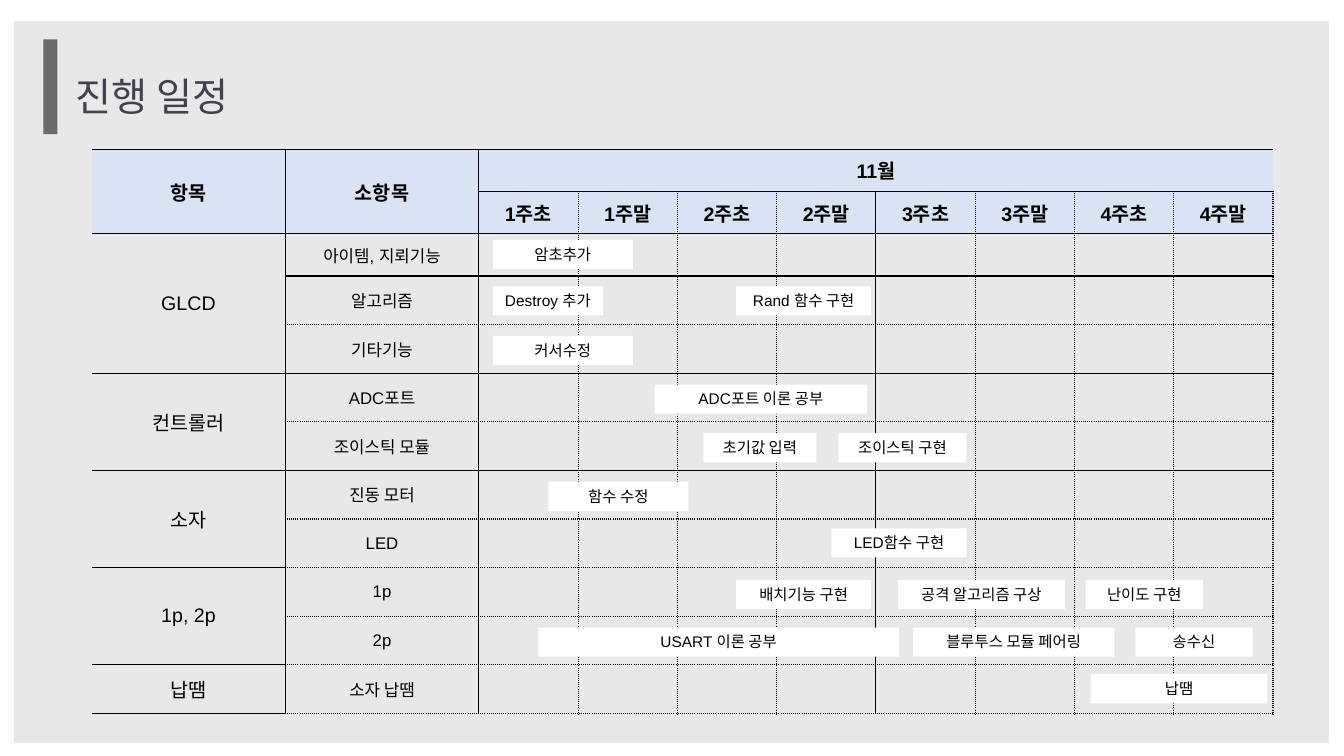
from dataclasses import dataclass

from lxml import etree
from pptx import Presentation, util as u
from pptx.dml.color import RGBColor
from pptx.enum import shapes, text
from pptx.oxml.ns import qn


@dataclass(frozen=True)
class Theme:
    panel: str = "E6E6E6"
    rail: str = "292929"
    title: str = "40434D"
    ink: str = "000000"
    header: str = "DAE3F3"
    bar: str = "FFFFFF"
    latin: str = "Arial"
    korean: str = "Noto Sans CJK KR"
    title_pt: int = 28
    group_pt: int = 14
    item_pt: int = 12
    bar_pt: int = 11


THEME = Theme()
WEEKS = [f"{week}주{part}" for week in range(1, 5) for part in "초말"]
HEADER_ROWS, LABEL_COLS = 2, 2
LABEL_W, HEADER_H, BAR_H = 1.92, 0.42, 0.29

# group -> items; item -> (bar offset below the row top, bars)
# bar -> (text, start, length), both counted in half-week columns
PLAN = {
    "GLCD": {
        "아이템, 지뢰기능": (0.06, [("암초추가", 0.14, 1.41)]),
        "알고리즘": (0.1, [("Destroy 추가", 0.14, 1.11), ("Rand 함수 구현", 2.59, 1.36)]),
        "기타기능": (0.11, [("커서수정", 0.14, 1.41)]),
    },
    "컨트롤러": {
        "ADC포트": (0.11, [("ADC포트 이론 공부", 1.77, 2.14)]),
        "조이스틱 모듈": (0.11, [("초기값 입력", 2.26, 1.14), ("조이스틱 구현", 3.62, 1.29)]),
    },
    "소자": {
        "진동 모터": (0.11, [("함수 수정", 0.7, 1.41)]),
        "LED": (0.09, [("LED함수 구현", 3.55, 1.36)]),
    },
    "1p, 2p": {
        "1p": (0.12, [("배치기능 구현", 2.59, 1.36), ("공격 알고리즘 구상", 4.22, 1.68),
                      ("난이도 구현", 6.11, 1.18)]),
        "2p": (0.11, [("USART 이론 공부", 0.6, 3.63), ("블루투스 모듈 페어링", 4.37, 2.03),
                      ("송수신", 6.61, 1.18)]),
    },
    "납땜": {"소자 납땜": (0.09, [("납땜", 6.16, 1.78)])},
}
ITEMS = [item for group in PLAN.values() for item in group.items()]
N_ROWS, N_COLS = HEADER_ROWS + len(ITEMS), LABEL_COLS + len(WEEKS)

# Rules of the grid, by edge number; other edges are dotted
SOLID_ROW_EDGES = {0, 1, 2, 3, 5, 7}
SOLID_COL_EDGES = {1: 0.75, 2: 1, 6: 0.75}


def inches(*lengths):
    return [u.Inches(length) for length in lengths]


def write(frame, words, size, color=THEME.ink, bold=False, latin=THEME.latin,
          align=text.PP_ALIGN.CENTER):
    frame.text = words
    paragraph = frame.paragraphs[0]
    paragraph.alignment = align
    font = paragraph.runs[0].font
    for name, value in {"size": u.Pt(size), "bold": bold, "name": latin}.items():
        setattr(font, name, value)
    font.color.rgb = RGBColor.from_string(color)
    latin_tag = paragraph.runs[0]._r.rPr.find(qn("a:latin"))
    latin_tag.addnext(etree.Element(qn("a:ea"), typeface=THEME.korean))
    return paragraph


def set_alpha(element, percent):
    color = next(element.iter(qn("a:srgbClr")))
    etree.SubElement(color, qn("a:alpha"), val=str(percent * 1000))


def add_block(slide, box, color):
    block = slide.shapes.add_shape(shapes.MSO_SHAPE.RECTANGLE, *inches(*box))
    block.shadow.inherit = False
    block.fill.solid()
    block.fill.fore_color.rgb = RGBColor.from_string(color)
    block.line.fill.background()
    return block


def draw_heading(slide, box):
    left, top, width, height = box
    # Backdrop behind everything
    panel = add_block(slide, (0.14, 0.21, 13.04, 7.16), THEME.panel)
    set_alpha(panel._element.spPr, 90)
    slide.shapes._spTree.insert(2, panel._element)

    # Title
    title = slide.shapes.title
    places = inches(left + 0.15, top + 0.19, width, 0.65)
    for name, value in zip(("left", "top", "width", "height"), places):
        setattr(title, name, value)
    for name, value in {"vertical_anchor": text.MSO_ANCHOR.BOTTOM, "word_wrap": True,
                        "auto_size": text.MSO_AUTO_SIZE.NONE}.items():
        setattr(title.text_frame, name, value)
    paragraph = write(title.text_frame, "진행 일정", THEME.title_pt, THEME.title,
                      latin=THEME.korean, align=text.PP_ALIGN.LEFT)
    paragraph.line_spacing = 1.5

    # Upright rail
    rail = slide.shapes.add_connector(shapes.MSO_CONNECTOR.STRAIGHT,
                                      *inches(left, top, left, top + height))
    rail.line.width = u.Pt(10)
    rail.line.color.rgb = RGBColor.from_string(THEME.rail)
    set_alpha(rail._element.spPr, 65)
    etree.SubElement(rail._element.spPr, qn("a:effectLst"))


def add_border(tc_pr, side, rule):
    width, dash = rule or (1, None)
    line = etree.Element(qn(f"a:{side}"), w=str(u.Pt(width)))
    if rule:
        fill = etree.SubElement(line, qn("a:solidFill"))
        etree.SubElement(fill, qn("a:srgbClr"), val=THEME.ink)
        etree.SubElement(line, qn("a:prstDash"), val=dash)
    else:
        etree.SubElement(line, qn("a:noFill"))
    return line


def row_rule(edge, col):
    return (1, "solid" if edge in SOLID_ROW_EDGES or col == 0 else "sysDot")


def col_rule(edge, row):
    if edge == 0 or (edge == N_COLS and row == 0):
        return None
    if edge in SOLID_COL_EDGES:
        return (SOLID_COL_EDGES[edge], "solid")
    return (1, "sysDot")


def fill_cell(table, row, col, words="", size=THEME.group_pt, rows=1, cols=1):
    """Fill a cell, merge it over rows and cols, and rule its outer sides."""
    is_header = row < HEADER_ROWS
    origin = table.cell(row, col)
    if rows * cols > 1:
        origin.merge(table.cell(row + rows - 1, col + cols - 1))
    origin.vertical_anchor = text.MSO_ANCHOR.MIDDLE
    if words:
        write(origin.text_frame, words, size, bold=is_header)
    for r in range(row, row + rows):
        for c in range(col, col + cols):
            cell = table.cell(r, c)
            if is_header:
                cell.fill.solid()
                cell.fill.fore_color.rgb = RGBColor.from_string(THEME.header)
            else:
                cell.fill.background()
            sides = {
                "lnL": (c == col, col_rule(c, r)),
                "lnR": (c == col + cols - 1, col_rule(c + 1, r)),
                "lnT": (r == row, row_rule(r, c)),
                "lnB": (r == row + rows - 1, row_rule(r + 1, c)),
            }
            tc_pr = cell._tc.get_or_add_tcPr()
            for place, (side, (is_outer, rule)) in enumerate(sides.items()):
                tc_pr.insert(place, add_border(tc_pr, side, rule if is_outer else None))


def draw_schedule(slide, box):
    left, top, width, height = box
    week_w = (width - LABEL_COLS * LABEL_W) / len(WEEKS)
    short_rows = HEADER_ROWS + 1
    tall_h = (height - short_rows * HEADER_H) / (N_ROWS - short_rows)
    heights = [HEADER_H] * short_rows + [tall_h] * (N_ROWS - short_rows)

    # Grid
    table = slide.shapes.add_table(N_ROWS, N_COLS, *inches(*box)).table
    table.first_row = table.horz_banding = False
    for col, column in enumerate(table.columns):
        column.width = u.Inches(LABEL_W if col < LABEL_COLS else week_w)
    for row, row_h in zip(table.rows, heights):
        row.height = u.Inches(row_h)

    # Header
    for col, label in enumerate(("항목", "소항목")):
        fill_cell(table, 0, col, label, rows=HEADER_ROWS)
    fill_cell(table, 0, LABEL_COLS, "11월", cols=len(WEEKS))
    for col, week in enumerate(WEEKS, LABEL_COLS):
        fill_cell(table, 1, col, week)

    # Groups and items
    row = HEADER_ROWS
    for group, items in PLAN.items():
        fill_cell(table, row, 0, group, rows=len(items))
        for item in items:
            fill_cell(table, row, 1, item, THEME.item_pt)
            for col in range(LABEL_COLS, N_COLS):
                fill_cell(table, row, col)
            row += 1

    # Task bars
    weeks_left = left + LABEL_COLS * LABEL_W
    for row, (_, (drop, bars)) in enumerate(ITEMS, HEADER_ROWS):
        bar_top = top + sum(heights[:row]) + drop
        for words, start, length in bars:
            bar = add_block(slide, (weeks_left + start * week_w, bar_top,
                                    length * week_w, BAR_H), THEME.bar)
            for name, value in {"vertical_anchor": text.MSO_ANCHOR.TOP, "word_wrap": True,
                                "margin_left": u.Inches(0.05), "margin_right": u.Inches(0.05),
                                "auto_size": text.MSO_AUTO_SIZE.SHAPE_TO_FIT_TEXT}.items():
                setattr(bar.text_frame, name, value)
            write(bar.text_frame, words, THEME.bar_pt)


def main():
    deck = Presentation()
    deck.slide_width, deck.slide_height = inches(13.33, 7.5)
    slide = deck.slides.add_slide(deck.slide_layouts[5])
    draw_heading(slide, (0.5, 0.39, 2.58, 0.94))
    draw_schedule(slide, (0.91, 1.48, 11.72, 5.6))
    deck.save("out.pptx")


if __name__ == "__main__":
    main()
